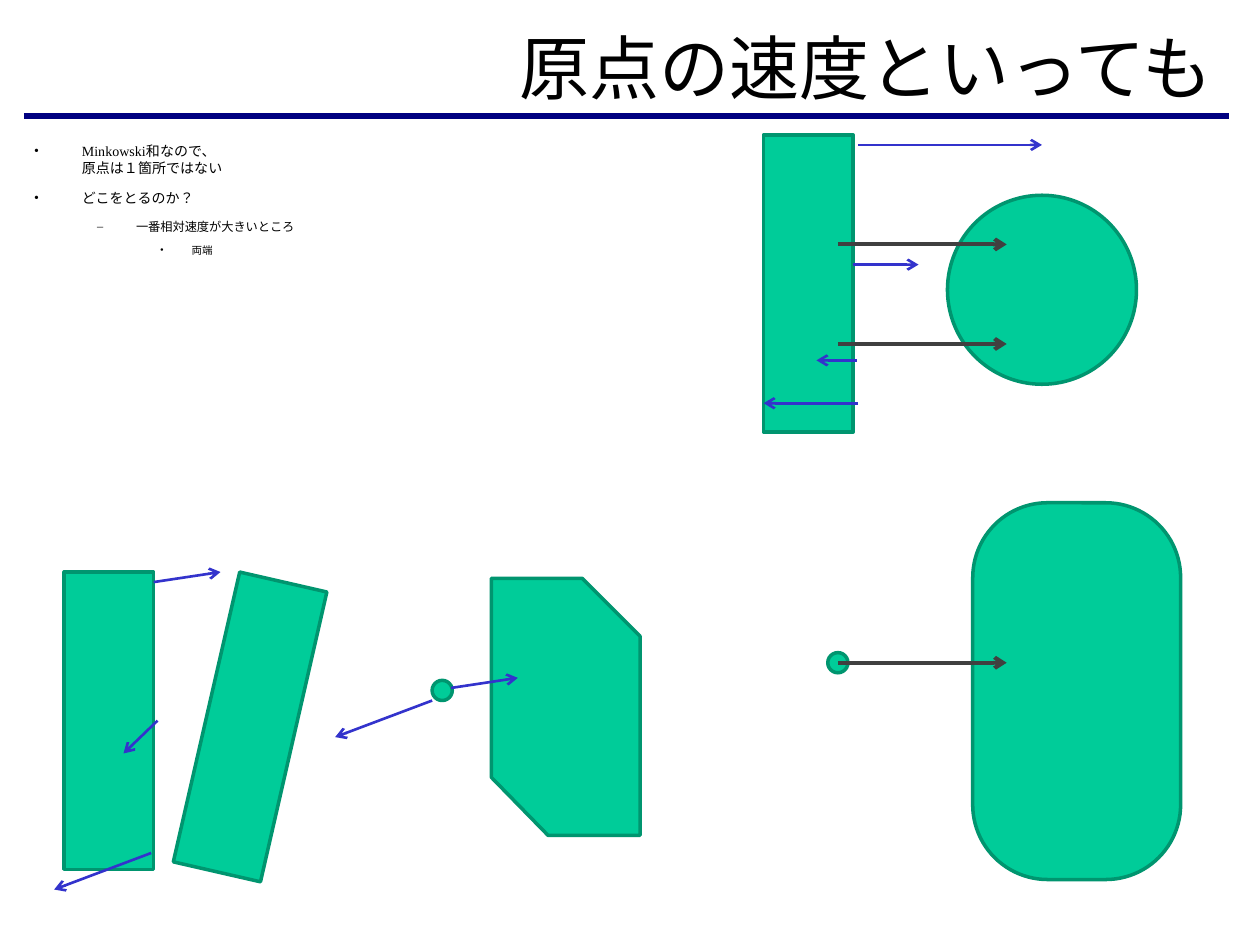
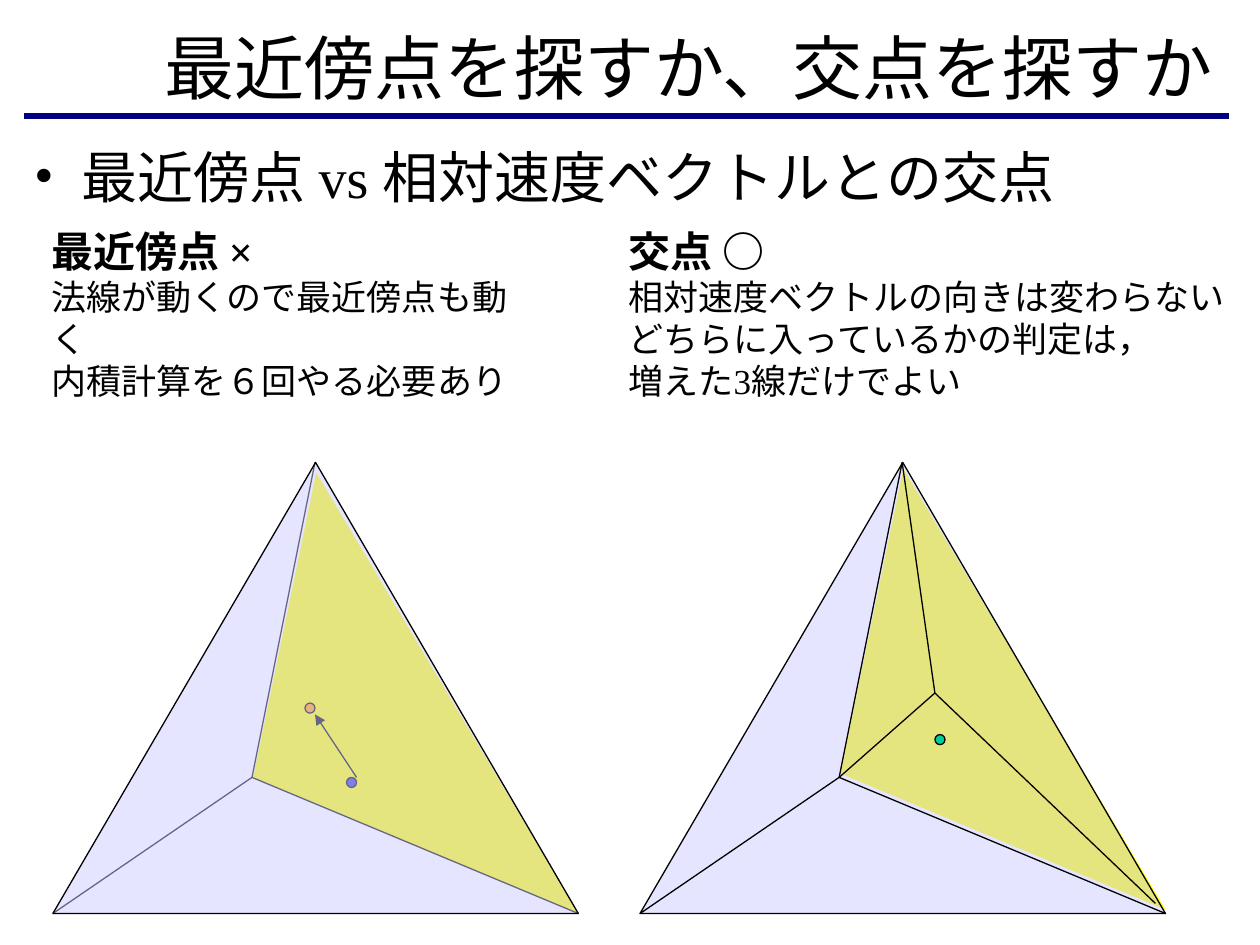
from lxml.etree import SubElement
from pptx import Presentation
from pptx.dml.color import RGBColor
from pptx.enum.lang import MSO_LANGUAGE_ID
from pptx.enum.shapes import MSO_CONNECTOR, MSO_SHAPE
from pptx.enum.text import MSO_ANCHOR, MSO_AUTO_SIZE, PP_ALIGN
from pptx.oxml.ns import qn
from pptx.util import Inches, Pt

FONT = "Times New Roman"
COLORS = {
    "text": "000000",
    "rule": "000080",
    "solid": "00CC99",
    "solid_edge": "00956F",
    "motion": "404040",
    "velocity": "3333CC",
    "triangle": "CCCCFF",
    "face": "FFFF00",
    "nearest": "FF9900",
}
# Bullet, left margin and hanging indent for each list level
LEVELS = [("•", 0.38, 0.38), ("–", 0.81, 0.31), ("•", 1.25, 0.25)]

BAR_SIZE = (0.71, 2.36)
ORIGIN_SIZE = (0.16, 0.16)
DOT_SIZE = (0.08, 0.08)

# Triangle geometry, measured from the top left of the triangle
TRIANGLE_TOP = 3.67
TRIANGLE_SIZE = (4.17, 3.58)
APEX, LEFT_CORNER, RIGHT_CORNER = (2.08, 0), (0, 3.58), (4.17, 3.58)
INNER_VERTEX = (1.58, 2.5)


def rgb(name):
    return RGBColor.from_string(COLORS[name])


def inches(*lengths):
    return [Inches(length) for length in lengths]


# Text
def add_text(paragraph, text, size, bold=False):
    for index, line in enumerate(text.split("\n")):
        if index:
            paragraph.add_line_break()
        run = paragraph.add_run()
        run.text = line
        font = run.font
        font.name, font.size, font.bold = FONT, Pt(size), bold
        font.color.rgb = rgb("text")
        font.language_id = MSO_LANGUAGE_ID.JAPANESE


def next_paragraph(frame, index):
    return frame.add_paragraph() if index else frame.paragraphs[0]


def set_bullet(paragraph, level):
    character, margin, hanging = LEVELS[level]
    paragraph.level = level
    properties = paragraph._p.get_or_add_pPr()
    properties.set("marL", str(Inches(margin)))
    properties.set("indent", str(-Inches(hanging)))
    color = SubElement(properties, qn("a:buClr"))
    SubElement(color, qn("a:srgbClr"), val=COLORS["text"])
    SubElement(properties, qn("a:buFont"), typeface=FONT)
    SubElement(properties, qn("a:buChar"), char=character)


def fill_list(placeholder, items):
    """Write (level, text, size) items as a bulleted list."""
    frame = placeholder.text_frame
    frame.auto_size = MSO_AUTO_SIZE.NONE
    for index, (level, text, size) in enumerate(items):
        paragraph = next_paragraph(frame, index)
        set_bullet(paragraph, level)
        paragraph.space_before = Pt(8 - level if index else 0)
        add_text(paragraph, text, size)


def add_note(slide, left, width, heading, lines):
    box = slide.shapes.add_textbox(*inches(left, 1.74, width, 1.84))
    frame = box.text_frame
    frame.word_wrap = False
    frame.auto_size = MSO_AUTO_SIZE.SHAPE_TO_FIT_TEXT
    add_text(frame.paragraphs[0], heading, 24, bold=True)
    for line in lines:
        add_text(frame.add_paragraph(), line, 20)


# Shapes and lines
def paint(shape, fill, edge=None, width=0.75):
    shape.shadow.inherit = False
    shape.fill.solid()
    shape.fill.fore_color.rgb = rgb(fill)
    if edge:
        shape.line.color.rgb = rgb(edge)
        shape.line.width = Pt(width)
    else:
        shape.line.fill.background()
    return shape


def add_preset(slide, kind, position, size):
    return slide.shapes.add_shape(kind, *inches(*position, *size))


def add_solid(slide, kind, position, size):
    shape = add_preset(slide, kind, position, size)
    return paint(shape, "solid", "solid_edge", 2)


def add_dot(slide, position, fill):
    paint(add_preset(slide, MSO_SHAPE.OVAL, position, DOT_SIZE), fill, "text")


def add_polygon(slide, points):
    start, *others = [inches(*point) for point in points]
    builder = slide.shapes.build_freeform(*start)
    builder.add_line_segments(others, close=True)
    return builder.convert_to_shape()


def add_line(slide, start, end, color="text", width=0.75, arrow=None):
    line = slide.shapes.add_connector(
        MSO_CONNECTOR.STRAIGHT, *inches(*start, *end))
    line.line.color.rgb = rgb(color)
    line.line.width = Pt(width)
    if arrow:
        SubElement(line.line._get_or_add_ln(), qn("a:tailEnd"), type=arrow)
    SubElement(line.element.spPr, qn("a:effectLst"))
    return line


def add_velocities(slide, arrows):
    for start, end in arrows:
        add_line(slide, start, end, "velocity", 1.5, "arrow")


def add_motions(slide, heights):
    for height in heights:
        add_line(slide, (6.65, height), (7.99, height),
                 "motion", 2.25, "arrow")


# Triangle diagrams
def shifted(left, point, top=TRIANGLE_TOP):
    return left + point[0], top + point[1]


def add_face(slide, left, top):
    corners = [(2.09, 0), (1.59, 2.42), (4.17, 3.5)]
    points = [shifted(left, corner, top) for corner in corners]
    paint(add_polygon(slide, points), "face")


def add_spokes(slide, left, center, ends):
    for end in ends:
        add_line(slide, shifted(left, end), shifted(left, center))


def add_triangle(slide, left):
    triangle = add_preset(slide, MSO_SHAPE.ISOSCELES_TRIANGLE,
                          (left, TRIANGLE_TOP), TRIANGLE_SIZE)
    paint(triangle, "triangle", "text")
    color = triangle.element.spPr.find(qn("a:solidFill"))[0]
    SubElement(color, qn("a:alpha"), val="50000")


# Shared slide design
def set_up_layout(presentation):
    layout = presentation.slide_layouts[1]
    places = {0: (1.02, 0.17, 8.7, 0.72), 1: (0.17, 1.08, 9.58, 5.58)}
    for placeholder in layout.placeholders:
        index = placeholder.placeholder_format.idx
        if index in places:
            (placeholder.left, placeholder.top,
             placeholder.width, placeholder.height) = inches(*places[index])
    return layout


def add_master_rule(presentation, slide):
    rule = add_line(slide, (0.19, 0.92), (9.75, 0.92), "rule", 3)
    rule.element.nvCxnSpPr.cNvPr.set("id", "20")
    presentation.slide_master.shapes.element.append(rule.element)


def add_slide(presentation, layout, title):
    slide = presentation.slides.add_slide(layout)
    frame = slide.shapes.title.text_frame
    frame.auto_size = MSO_AUTO_SIZE.NONE
    frame.vertical_anchor = MSO_ANCHOR.MIDDLE
    frame.paragraphs[0].alignment = PP_ALIGN.RIGHT
    add_text(frame.paragraphs[0], title, 40)
    return slide


def build_origin_slide(presentation, layout):
    slide = add_slide(presentation, layout, "原点の速度といっても")
    body = slide.placeholders[1]
    body.left, body.top, body.width, body.height = inches(
        0.17, 1.08, 9.58, 0.86)
    fill_list(body, [
        (0, "Minkowski和なので、\n原点は１箇所ではない", 8),
        (0, "どこをとるのか？", 8),
        (1, "一番相対速度が大きいところ", 7),
        (2, "両端", 6),
    ])

    # Moving bar and circle, with their Minkowski sum below
    add_solid(slide, MSO_SHAPE.OVAL, (7.52, 1.55), (1.5, 1.5))
    add_solid(slide, MSO_SHAPE.RECTANGLE, (6.06, 1.07), BAR_SIZE)
    circle_sum = add_solid(slide, MSO_SHAPE.ROUNDED_RECTANGLE,
                           (7.72, 3.99), (1.65, 2.99))
    circle_sum.adjustments[0] = 0.36
    add_solid(slide, MSO_SHAPE.OVAL, (6.57, 5.18), ORIGIN_SIZE)
    add_motions(slide, [1.94, 2.73, 5.26])
    add_velocities(slide, [
        ((6.8, 2.86), (6.48, 2.86)),
        ((6.81, 3.2), (6.06, 3.2)),
        ((6.77, 2.1), (7.29, 2.1)),
        ((6.81, 1.15), (8.27, 1.15)),
    ])

    # Two bars, with their Minkowski sum beside them
    tilted_bar = add_solid(slide, MSO_SHAPE.RECTANGLE, (1.63, 4.59), BAR_SIZE)
    tilted_bar.rotation = 12.9
    add_solid(slide, MSO_SHAPE.RECTANGLE, (0.51, 4.54), BAR_SIZE)
    bar_sum = add_polygon(slide, [
        (3.9, 4.59), (4.62, 4.59), (5.08, 5.05),
        (5.08, 6.63), (4.35, 6.63), (3.9, 6.17),
    ])
    paint(bar_sum, "solid", "solid_edge", 2)
    add_solid(slide, MSO_SHAPE.OVAL, (3.43, 5.4), ORIGIN_SIZE)
    add_velocities(slide, [
        ((1.25, 5.72), (0.98, 5.98)),
        ((1.2, 6.77), (0.43, 7.06)),
        ((1.22, 4.62), (1.75, 4.54)),
        ((3.58, 5.46), (4.11, 5.38)),
        ((3.43, 5.56), (2.66, 5.85)),
    ])
    return slide


def build_search_slide(presentation, layout):
    slide = add_slide(presentation, layout, "最近傍点を探すか、交点を探すか")
    fill_list(slide.placeholders[1],
              [(0, "最近傍点 vs 相対速度ベクトルとの交点", 32)])
    add_note(slide, 0.31, 4.09, "最近傍点 ×",
             ["法線が動くので最近傍点も動く", "内積計算を６回やる必要あり"])
    add_note(slide, 4.89, 4.93, "交点 ○",
             ["相対速度ベクトルの向きは変わらない",
              "どちらに入っているかの判定は，\n増えた3線だけでよい"])
    corners = [APEX, LEFT_CORNER, RIGHT_CORNER]

    # Nearest point: the translucent triangle covers the drawing
    left = 0.42
    add_face(slide, left, 3.75)
    add_spokes(slide, left, INNER_VERTEX, corners)
    add_dot(slide, (2.75, 6.17), "velocity")
    add_dot(slide, (2.42, 5.58), "nearest")
    add_line(slide, (2.83, 6.17), (2.5, 5.67), arrow="triangle")
    add_triangle(slide, left)

    # Intersection: lines lie on top of the triangle
    left = 5.08
    add_face(slide, left, 3.72)
    add_triangle(slide, left)
    add_spokes(slide, left, INNER_VERTEX, corners)
    add_dot(slide, (7.42, 5.83), "solid")
    add_spokes(slide, left, (2.34, 1.83), [APEX, INNER_VERTEX, (4.09, 3.5)])


def main():
    presentation = Presentation()
    presentation.slide_width, presentation.slide_height = inches(10, 7.5)
    layout = set_up_layout(presentation)
    origin_slide = build_origin_slide(presentation, layout)
    add_master_rule(presentation, origin_slide)
    build_search_slide(presentation, layout)
    presentation.save("out.pptx")


if __name__ == "__main__":
    main()
